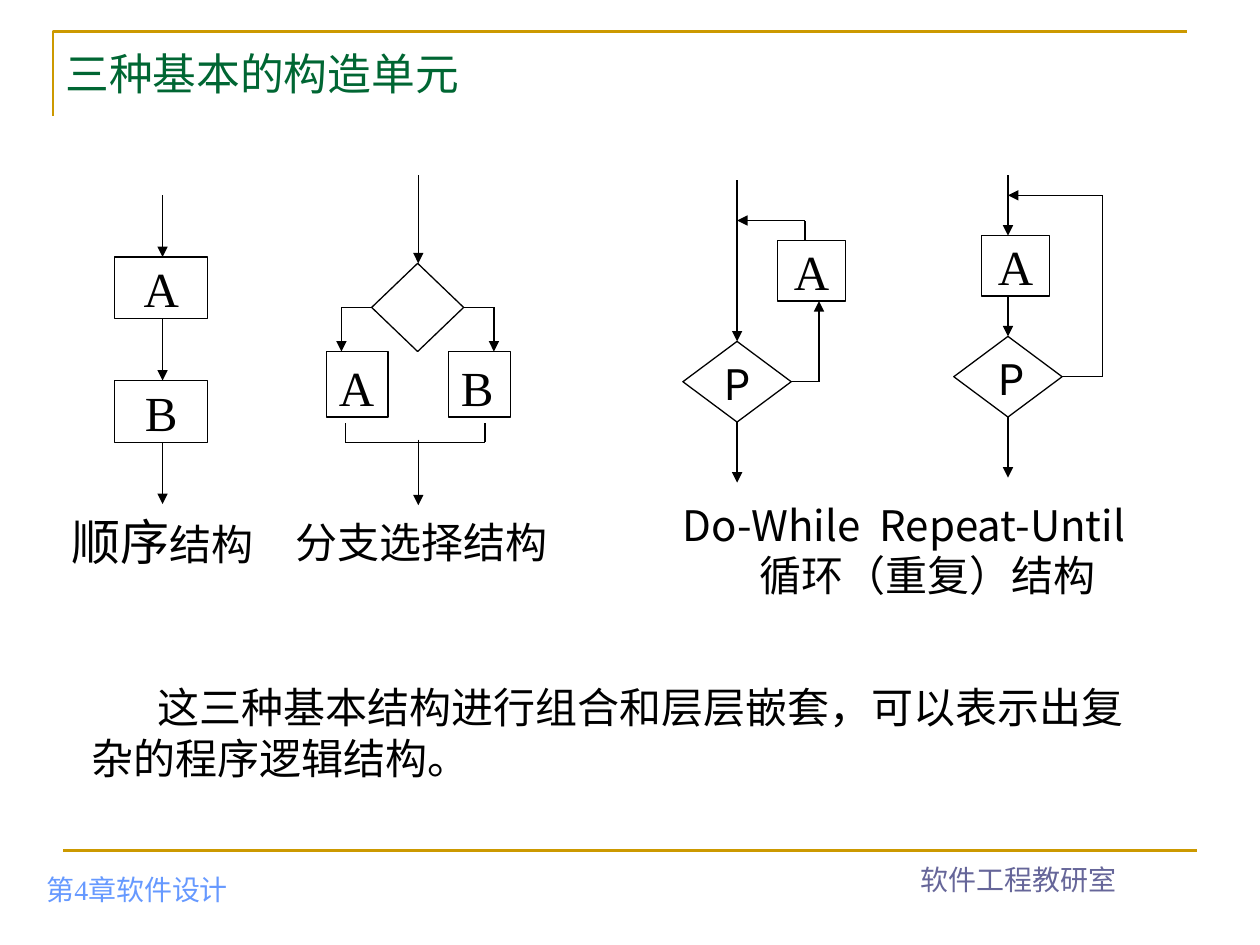
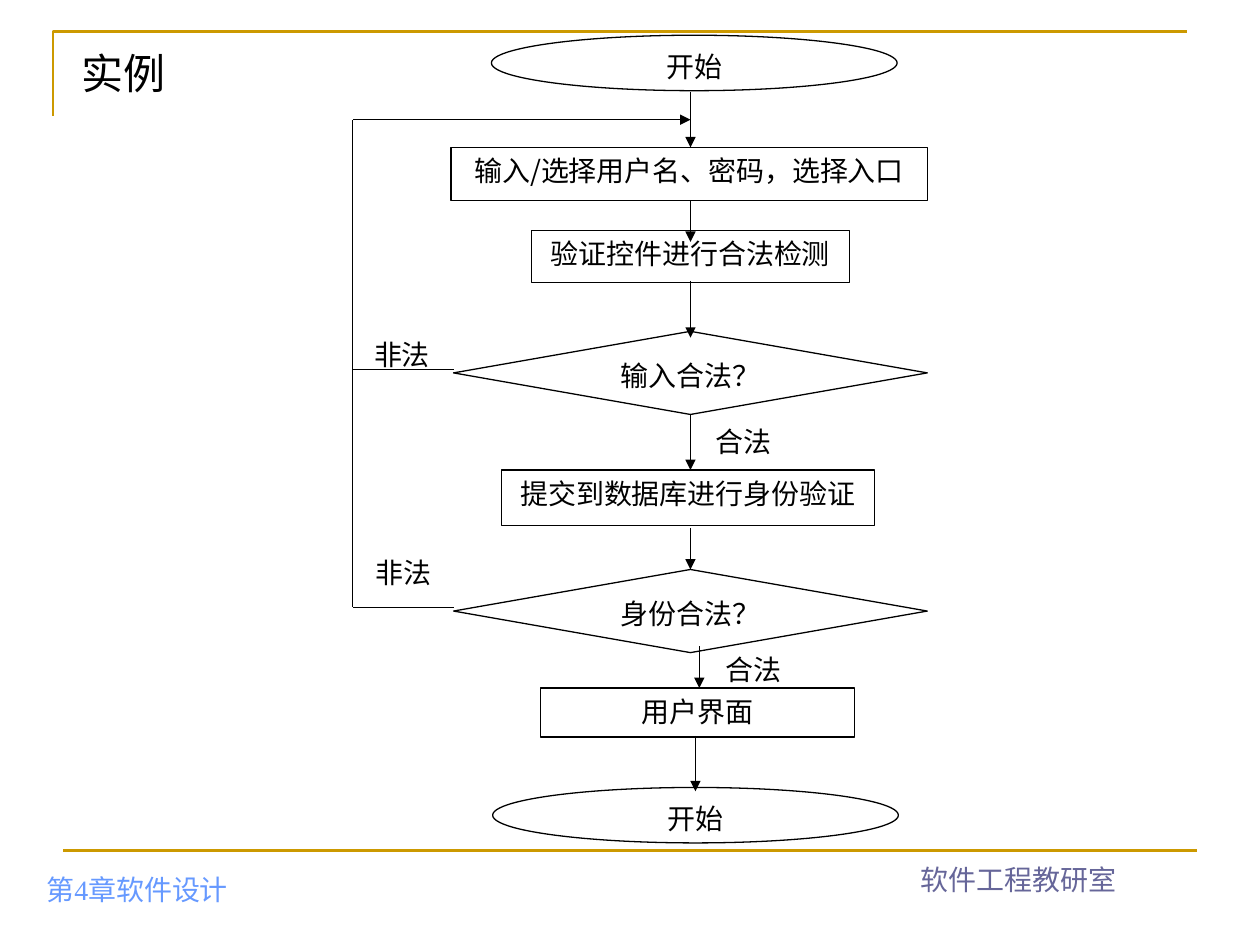
from itertools import pairwise

from lxml import etree
from pptx import Presentation
from pptx.dml.color import RGBColor
from pptx.enum.shapes import MSO_CONNECTOR, MSO_SHAPE
from pptx.enum.text import MSO_ANCHOR, PP_ALIGN
from pptx.oxml.ns import qn
from pptx.util import Inches, Pt

RECT, DIAMOND, OVAL = MSO_SHAPE.RECTANGLE, MSO_SHAPE.DIAMOND, MSO_SHAPE.OVAL
STRAIGHT = MSO_CONNECTOR.STRAIGHT
LEFT, CENTER = PP_ALIGN.LEFT, PP_ALIGN.CENTER
TOP, MIDDLE, BOTTOM = MSO_ANCHOR.TOP, MSO_ANCHOR.MIDDLE, MSO_ANCHOR.BOTTOM

BLACK = RGBColor(0x00, 0x00, 0x00)
WHITE = RGBColor(0xFF, 0xFF, 0xFF)
GOLD = RGBColor(0xCC, 0x99, 0x00)
GREEN = RGBColor(0x00, 0x66, 0x33)
SKY = RGBColor(0x66, 0x99, 0xFF)
SLATE = RGBColor(0x66, 0x66, 0x99)

SANS, SERIF, ARIAL, KARLA = "Noto Sans CJK SC", "Times New Roman", "Arial", "Karla"

# Shared frame: text, box, colour, alignment
FOOTERS = [
    ("第4章软件设计", (0.27, 6.74, 3.15, 0.5), SKY, LEFT),
    ("软件工程教研室", (6.5, 6.66, 3.17, 0.5), SLATE, CENTER),
]

# Slide 1: blocks are kind, box, letter, alignment, anchor
STRUCTURE_BLOCKS = [
    (RECT, (0.91, 2.04, 0.74, 0.49), "A", CENTER, MIDDLE),
    (RECT, (0.91, 3.02, 0.74, 0.49), "B", CENTER, MIDDLE),
    (RECT, (2.59, 2.79, 0.49, 0.52), "A", LEFT, TOP),
    (RECT, (3.56, 2.79, 0.49, 0.52), "B", LEFT, TOP),
    (DIAMOND, (2.95, 2.09, 0.73, 0.7), "", CENTER, MIDDLE),
    (DIAMOND, (5.42, 2.71, 0.86, 0.64), "", CENTER, MIDDLE),
    (RECT, (6.17, 1.91, 0.54, 0.48), "A", CENTER, MIDDLE),
    (RECT, (7.79, 1.87, 0.54, 0.48), "A", CENTER, MIDDLE),
    (DIAMOND, (7.57, 2.67, 0.86, 0.64), "", CENTER, MIDDLE),
]
CONDITIONS = [(5.64, 2.74, 0.5, 0.57), (7.82, 2.7, 0.5, 0.57)]
STRUCTURE_ARROWS = [
    # sequence
    [(1.29, 1.55), (1.29, 2.04)],
    [(1.29, 2.53), (1.29, 3.02)],
    [(1.29, 3.51), (1.29, 4)],
    # branch
    [(3.32, 1.39), (3.32, 2.09)],
    [(2.95, 2.44), (2.71, 2.44), (2.71, 2.79)],
    [(3.68, 2.44), (3.92, 2.44), (3.92, 2.79)],
    [(3.32, 3.49), (3.32, 4.01)],
    # do-while
    [(5.85, 1.43), (5.85, 2.71)],
    [(6.28, 3.03), (6.5, 3.03), (6.5, 2.39)],
    [(6.39, 1.91), (6.39, 1.75), (5.85, 1.75)],
    [(5.85, 3.35), (5.85, 3.83)],
    # repeat-until
    [(8, 1.39), (8, 1.87)],
    [(8, 2.35), (8, 2.67)],
    [(8.43, 2.99), (8.75, 2.99), (8.75, 1.55), (8, 1.55)],
    [(8, 3.31), (8, 3.79)],
]
BRANCH_JOIN = [(2.74, 3.36), (2.74, 3.51), (3.85, 3.51), (3.85, 3.36)]
SUMMARY = "这三种基本结构进行组合和层层嵌套，可以表示出复杂的程序逻辑结构。"

# Slide 2: steps are kind, box, text
STEPS = [
    (OVAL, (3.9, 0.28, 3.22, 0.44), "开始"),
    (RECT, (3.58, 1.17, 3.78, 0.42), "输入/选择用户名、密码，选择入口"),
    (RECT, (4.22, 1.83, 2.52, 0.41), "验证控件进行合法检测"),
    (DIAMOND, (3.6, 2.63, 3.76, 0.66), "输入合法？"),
    (RECT, (3.98, 3.73, 2.96, 0.44), "提交到数据库进行身份验证"),
    (DIAMOND, (3.6, 4.52, 3.76, 0.66), "身份合法？"),
    (RECT, (4.29, 5.46, 2.49, 0.39), "用户界面"),
    (OVAL, (3.91, 6.25, 3.22, 0.44), "开始"),
]
# x, start, end of each downward arrow
FLOW = [
    (5.48, 0.73, 1.17), (5.48, 1.59, 1.92), (5.48, 2.23, 2.68), (5.48, 3.29, 3.73),
    (5.48, 4.19, 4.52), (5.55, 5.13, 5.46), (5.52, 5.84, 6.28),
]
RETRY_LOOP = [(3.6, 4.82), (2.8, 4.82), (2.8, 0.95), (5.48, 0.95)]
RETRY_INPUT = [(3.6, 2.93), (2.8, 2.93)]
OUTCOMES = [
    ("合法", (5.47, 3.32, 0.86, 0.33), CENTER),
    ("非法", (2.87, 2.63, 0.71, 0.31), LEFT),
    ("非法", (2.88, 4.36, 0.71, 0.35), LEFT),
    ("合法", (5.55, 5.13, 0.86, 0.33), CENTER),
]


def inches(box):
    return [Inches(value) for value in box]


def add_run(paragraph, text, size, font, color=BLACK):
    run = paragraph.add_run()
    run.text = text
    run.font.size, run.font.name, run.font.color.rgb = Pt(size), font, color
    east_asian = etree.SubElement(run._r.get_or_add_rPr(), qn("a:ea"))
    east_asian.set("typeface", SANS)
    return run


def set_up_text(shape, align, anchor):
    """Prepare a text frame and return its first paragraph."""
    frame = shape.text_frame
    frame.word_wrap, frame.vertical_anchor = True, anchor
    paragraph = frame.paragraphs[0]
    paragraph.alignment = align
    return paragraph


def add_label(slide, box, align=LEFT, anchor=TOP):
    return set_up_text(slide.shapes.add_textbox(*inches(box)), align, anchor)


def add_block(slide, kind, box, filled=False):
    block = slide.shapes.add_shape(kind, *inches(box))
    block.shadow.inherit = False
    if filled:
        block.fill.solid()
        block.fill.fore_color.rgb = WHITE
    else:
        block.fill.background()
    block.line.color.rgb, block.line.width = BLACK, Pt(0.75)
    return block


def add_route(slide, points, arrow=True, color=BLACK, width=0.75):
    """Join the points with straight connectors; the last may carry an arrowhead."""
    for start, end in pairwise(points):
        line = slide.shapes.add_connector(STRAIGHT, *inches(start + end))
        line.line.color.rgb, line.line.width = color, Pt(width)
        etree.SubElement(line._element.spPr, qn("a:effectLst"))
    if arrow:
        head = etree.SubElement(line.line._get_or_add_ln(), qn("a:tailEnd"))
        head.set("type", "triangle")


def add_framed_slide(prs, title, box, size, font, color):
    slide = prs.slides.add_slide(prs.slide_layouts[5])
    outline = slide.shapes.build_freeform(Inches(0.42), Inches(0.92))
    outline.add_line_segments([inches((0.42, 0.25)), inches((9.42, 0.25))], close=False)
    corner = outline.convert_to_shape()
    corner.shadow.inherit = False
    corner.fill.background()
    corner.line.color.rgb, corner.line.width = GOLD, Pt(1.5)
    add_route(slide, [(0.5, 6.75), (9.5, 6.75)], False, GOLD, 1.5)
    for text, place, tint, align in FOOTERS:
        add_run(add_label(slide, place, align, BOTTOM), text, 16, SERIF, tint)

    heading = slide.shapes.title
    heading.left, heading.top, heading.width, heading.height = inches(box)
    add_run(set_up_text(heading, LEFT, MIDDLE), title, size, font, color)
    return slide


def add_captions(slide):
    sequence = add_label(slide, (0.27, 4.05, 2.04, 0.49), CENTER, MIDDLE)
    add_run(sequence, "顺序", 28, SERIF)
    add_run(sequence, "结构", 24, SERIF)
    add_run(add_label(slide, (2.25, 4.05, 2.75, 0.34)), "分支选择结构", 24, SERIF)

    loops = slide.shapes.add_textbox(*inches((4.84, 3.91, 4.67, 1.02)))
    names = set_up_text(loops, CENTER, TOP)
    add_run(names, "Do-While", 24, SANS)
    gap = add_run(names, " ", 24, SANS)
    gap._r.get_or_add_rPr().set("spc", "540")
    add_run(names, "Repeat-Until", 24, SANS)
    family = loops.text_frame.add_paragraph()
    family.alignment = CENTER
    family._p.get_or_add_pPr().set("marL", str(Inches(0.37)))
    add_run(family, "循环（重复）结构", 24, SANS)

    summary = add_label(slide, (0.63, 5.36, 8.63, 0.9))
    summary._p.get_or_add_pPr().set("indent", str(Inches(0.52)))
    add_run(summary, SUMMARY, 24, SANS)
    for paragraph in (names, family, summary):
        paragraph.line_spacing = Pt(29)


def build_structures(prs):
    slide = add_framed_slide(prs, "三种基本的构造单元", (0.42, 0.3, 3.74, 0.56), 25, SANS, GREEN)
    for kind, box, letter, align, anchor in STRUCTURE_BLOCKS:
        block = add_block(slide, kind, box)
        if letter:
            add_run(set_up_text(block, align, anchor), letter, 28, SERIF)
    for box in CONDITIONS:
        add_run(add_label(slide, box), "P", 28, KARLA)
    for points in STRUCTURE_ARROWS:
        add_route(slide, points)
    add_route(slide, BRANCH_JOIN, arrow=False)
    add_captions(slide)


def build_example(prs):
    slide = add_framed_slide(prs, "实例", (0.55, 0.31, 1.57, 0.53), 24, ARIAL, BLACK)
    for kind, box, text in STEPS:
        block = add_block(slide, kind, box, filled=True)
        add_run(set_up_text(block, CENTER, TOP), text, 16, SANS)
    for x, start, end in FLOW:
        add_route(slide, [(x, start), (x, end)])
    add_route(slide, RETRY_LOOP)
    add_route(slide, RETRY_INPUT, arrow=False)
    for text, box, align in OUTCOMES:
        add_run(add_label(slide, box, align), text, 16, SANS)


def main():
    prs = Presentation()
    prs.slide_width, prs.slide_height = Inches(10), Inches(7.5)
    build_structures(prs)
    build_example(prs)
    prs.save("out.pptx")


if __name__ == "__main__":
    main()
